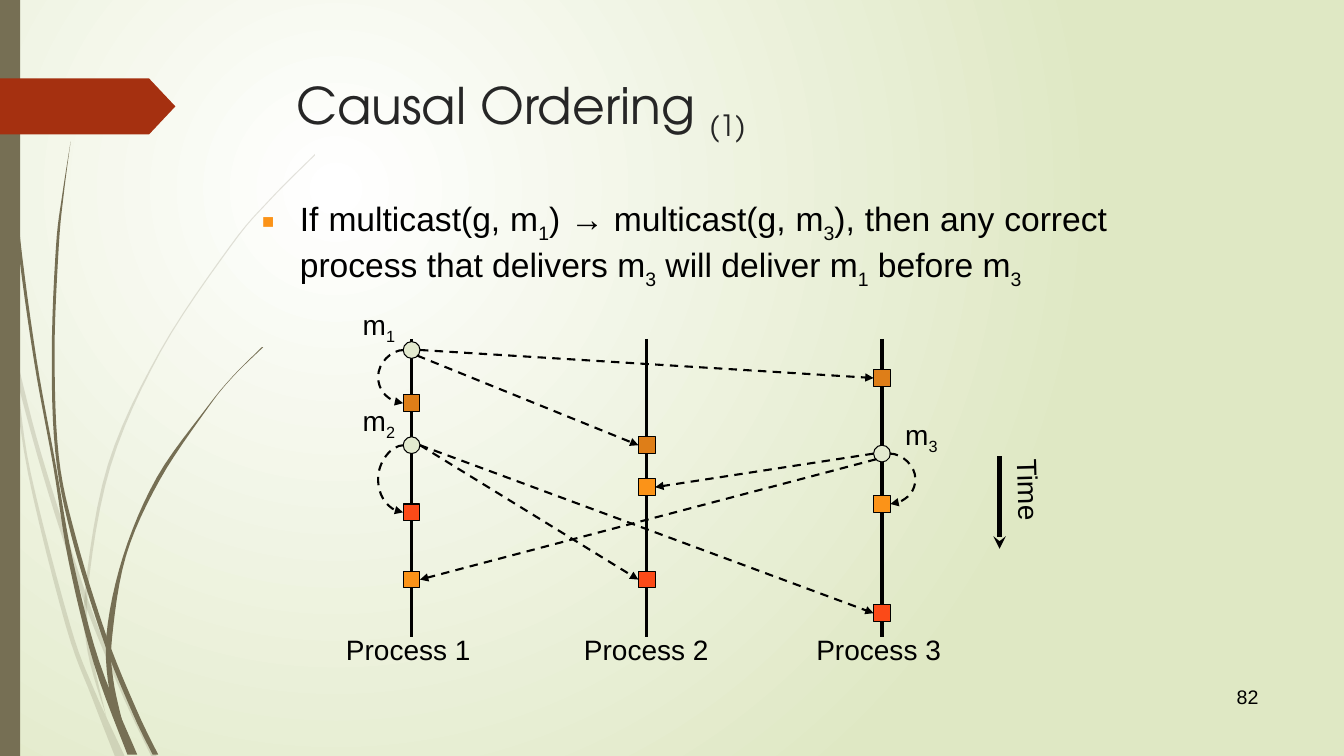
from lxml import etree
from pptx import Presentation
from pptx.dml.color import RGBColor
from pptx.enum.dml import MSO_LINE
from pptx.enum.shapes import MSO_CONNECTOR, MSO_SHAPE
from pptx.enum.text import MSO_ANCHOR, MSO_AUTO_SIZE, PP_ALIGN
from pptx.oxml.ns import qn
from pptx.util import Pt

STRAIGHT, CURVE = MSO_CONNECTOR.STRAIGHT, MSO_CONNECTOR.CURVE
RECTANGLE, OVAL, FLAG = MSO_SHAPE.RECTANGLE, MSO_SHAPE.OVAL, MSO_SHAPE.PENTAGON
DASH = MSO_LINE.DASH
TOP, MIDDLE = MSO_ANCHOR.TOP, MSO_ANCHOR.MIDDLE
LEFT, RIGHT, JUSTIFY = PP_ALIGN.LEFT, PP_ALIGN.RIGHT, PP_ALIGN.JUSTIFY
NO_AUTOFIT = MSO_AUTO_SIZE.NONE
BROWN, BLACK = "766F54", "000000"


def paint(shape, fill, line=None):
    shape.shadow.inherit = False
    shape.fill.solid()
    shape.fill.fore_color.rgb = RGBColor.from_string(fill)
    if line:
        shape.line.color.rgb = RGBColor.from_string(line)
        shape.line.width = Pt(0.75)
    else:
        shape.line.fill.background()


def write(paragraph, text, size, font="Arial", color=BLACK):
    for index, piece in enumerate(text.split("_")):
        if piece:
            run = paragraph.add_run()
            run.text = piece
            run.font.size = Pt(size)
            run.font.name = font
            run.font.color.rgb = RGBColor.from_string(color)
            if index % 2:
                run.font._element.set("baseline", "-25000")


presentation = Presentation()
presentation.slide_width, presentation.slide_height = Pt(960), Pt(540)
slide = presentation.slides.add_slide(presentation.slide_layouts[1])
shapes = slide.shapes

background = slide.background.fill
background.gradient()
for stop, color in zip(background.gradient_stops, ("FFFFFF", "DFE8C4")):
    stop.color.rgb = RGBColor.from_string(color)
gradient = slide.element.find(".//" + qn("a:gradFill"))
gradient.remove(gradient.find(qn("a:lin")))
circle_path = etree.SubElement(gradient, qn("a:path"), path="circle")
etree.SubElement(circle_path, qn("a:fillToRect"), l="50000", t="50000", r="100000", b="100000")

grass = [
    (20, [(10, 248), (26, 312), (45, 374), (66, 437), (91, 498), (112, 540)],
     [(12, 271), (26, 323), (42, 376), (63.5, 439), (89, 500), (108, 540)]),
    (20, [(0, 203), (12, 271), (22, 338), (50, 446), (67, 492), (89, 540)],
     [(0, 215), (7, 248), (20, 338), (47, 447), (66, 499), (82, 540)]),
    (20, [(225, 110), (193, 142), (164, 176), (114, 251), (77, 332), (61, 420), (62.5, 465), (76, 512)],
     [(225, 111), (193, 143), (165, 176), (115, 251), (79, 333), (63, 420), (65.5, 465), (76, 512)]),
    (100, [(3, 0), (6, 78), (14, 167), (26, 256), (40, 333), (52, 400), (71, 473), (98, 539)],
     [(2, 0), (5, 79), (12, 168), (24, 256), (38, 333), (49, 401), (67, 474), (91, 539)]),
    (100, [(50.5, 101), (45.5, 139), (42, 176), (39, 251), (42, 326), (54, 383), (76, 454), (98, 508), (113, 539)],
     [(50.5, 101), (44.5, 139), (40, 176), (37, 251), (39.5, 323), (51, 383), (74, 458), (95, 510), (109, 539)]),
    (100, [(187, 248), (166, 269), (147, 292), (112, 341), (88, 397), (76, 454), (79, 498), (88, 518)],
     [(188, 248), (166.5, 269), (148, 292), (114, 343), (90, 397), (80, 456), (81, 486), (88, 518)]),
]
for opacity, outer, inner in grass:
    outline = []
    for edge in (outer, inner[::-1]):
        padded = [edge[0], *edge, edge[-1]]
        for before, start, end, after in zip(padded, padded[1:], padded[2:], padded[3:]):
            for step in range(6):
                t = step / 6
                outline.append([
                    Pt((2 * q + (r - p) * t + (2 * p - 5 * q + 4 * r - s) * t ** 2
                        + (3 * q - p - 3 * r + s) * t ** 3) / 2)
                    for p, q, r, s in zip(before, start, end, after)])
        outline.append([Pt(value) for value in edge[-1]])
    builder = shapes.build_freeform(*outline[0])
    builder.add_line_segments(outline[1:])
    blade = builder.convert_to_shape()
    paint(blade, BROWN)
    if opacity < 100:
        blade_color = blade.element.find(".//" + qn("a:srgbClr"))
        etree.SubElement(blade_color, qn("a:alpha"), val=str(opacity * 1000))

paint(shapes.add_shape(RECTANGLE, 0, 0, Pt(14.4), Pt(540)), BROWN)
flag = shapes.add_shape(FLAG, 0, Pt(56), Pt(125.3), Pt(40))
flag.adjustments[0] = 0.47
paint(flag, "A53010")

title, body = shapes.title, slide.placeholders[1]
for placeholder, box in ((title, (204.5, 49, 702, 101)), (body, (180, 138, 618, 42))):
    placeholder.left, placeholder.top, placeholder.width, placeholder.height = map(Pt, box)
    placeholder.text_frame.vertical_anchor = TOP
    placeholder.text_frame.auto_size = NO_AUTOFIT
    placeholder.text_frame.word_wrap = True

heading = title.text_frame.paragraphs[0]
heading.alignment = LEFT
write(heading, "Causal Ordering _(1)_", 36, "TeX Gyre Adventor", "262626")

rule = body.text_frame.paragraphs[0]
rule.alignment = JUSTIFY
rule.space_before = Pt(4.8)
for part in ("If multicast(g, m_1_) ", "→ ",
             "multicast(g, m_3_), then any correct process that delivers m_3_ will deliver m_1_ before m_3_"):
    write(rule, part, 24)
rule.runs[3].font.bold = True
properties = rule._p.get_or_add_pPr()
properties.set("marL", str(Pt(27)))
properties.set("indent", str(Pt(-27)))
bullet_color = etree.SubElement(properties, qn("a:buClr"))
etree.SubElement(bullet_color, qn("a:srgbClr"), val="FB9318")
etree.SubElement(properties, qn("a:buSzPct"), val="60000")
etree.SubElement(properties, qn("a:buFont"), typeface="Arial")
etree.SubElement(properties, qn("a:buChar"), char="■")

lines = []
process_x = [294 + 168 * index for index in range(3)]
for x in process_x:
    lifeline = shapes.add_connector(STRAIGHT, Pt(x), Pt(242), Pt(x), Pt(455))
    lines.append((lifeline, 2.25, None, None))

messages = [
    (0, 250, "DE7E18", [(0, 288, -6, 0), (1, 318, 4, 4), (2, 270, 6, 0)]),
    (0, 318, "FB4A18", [(0, 366, -6, 0), (2, 438, 6, 0), (1, 414, 6, 0)]),
    (2, 324, "FB9318", [(2, 360, 6, 0), (1, 348, -6, 0), (0, 414, -4, 4)]),
]
for sender, sent_y, color, deliveries in messages:
    x = process_x[sender]
    paint(shapes.add_shape(OVAL, Pt(x - 6), Pt(sent_y - 6), Pt(12), Pt(12)), "E3EACF", BLACK)
    for receiver, y, shift_x, shift_y in deliveries:
        target_x = process_x[receiver]
        square = shapes.add_shape(RECTANGLE, Pt(target_x - 6), Pt(y - 6), Pt(12), Pt(12))
        paint(square, color, BLACK)
        if receiver == sender:
            end_x = x + shift_x
            begin_x = end_x - shift_x / 12
            arrow = shapes.add_connector(CURVE, Pt(begin_x), Pt(sent_y), Pt(end_x), Pt(y))
            guides = arrow.element.find(".//" + qn("a:avLst"))
            etree.SubElement(guides, qn("a:gd"), name="adj1", fmla="val 3600000")
        else:
            arrow = shapes.add_connector(
                STRAIGHT, Pt(x + shift_x), Pt(sent_y + shift_y), Pt(target_x), Pt(y))
            arrow.end_connect(square, 1 if receiver > sender else 3)
        lines.append((arrow, 1.5, DASH, "triangle"))

time_arrow = shapes.add_connector(STRAIGHT, Pt(714), Pt(326), Pt(714), Pt(392))
lines.append((time_arrow, 3, None, "stealth"))
for connector, width, dash, head in lines:
    connector.line.color.rgb = RGBColor.from_string(BLACK)
    connector.line.width = Pt(width)
    if dash:
        connector.line.dash_style = dash
    if head:
        outline_element = connector.element.spPr.find(qn("a:ln"))
        etree.SubElement(outline_element, qn("a:tailEnd"), type=head)
    etree.SubElement(connector.element.spPr, qn("a:effectLst"))

labels = [
    ("m_1_", 252, 216, 39, 0), ("m_2_", 252, 284.5, 39, 0), ("m_3_", 639.5, 295, 39, 0),
    ("Process 1", 240, 448.5, 103.7, 0), ("Process 2", 410, 448.5, 103.7, 0),
    ("Process 3", 576, 448.5, 103.7, 0), ("Time", 705.5, 335, 59, 88.5),
]
for text, left, top, width, rotation in labels:
    label = shapes.add_textbox(Pt(left), Pt(top), Pt(width), Pt(31))
    label.rotation = rotation
    label.text_frame.word_wrap = False
    write(label.text_frame.paragraphs[0], text, 20)

slide_number = shapes.add_textbox(Pt(816), Pt(482.5), Pt(90), Pt(29.5))
slide_number.text_frame.word_wrap = True
slide_number.text_frame.vertical_anchor = MIDDLE
slide_number.text_frame.paragraphs[0].alignment = RIGHT
write(slide_number.text_frame.paragraphs[0], "82", 14)

presentation.save("out.pptx")
